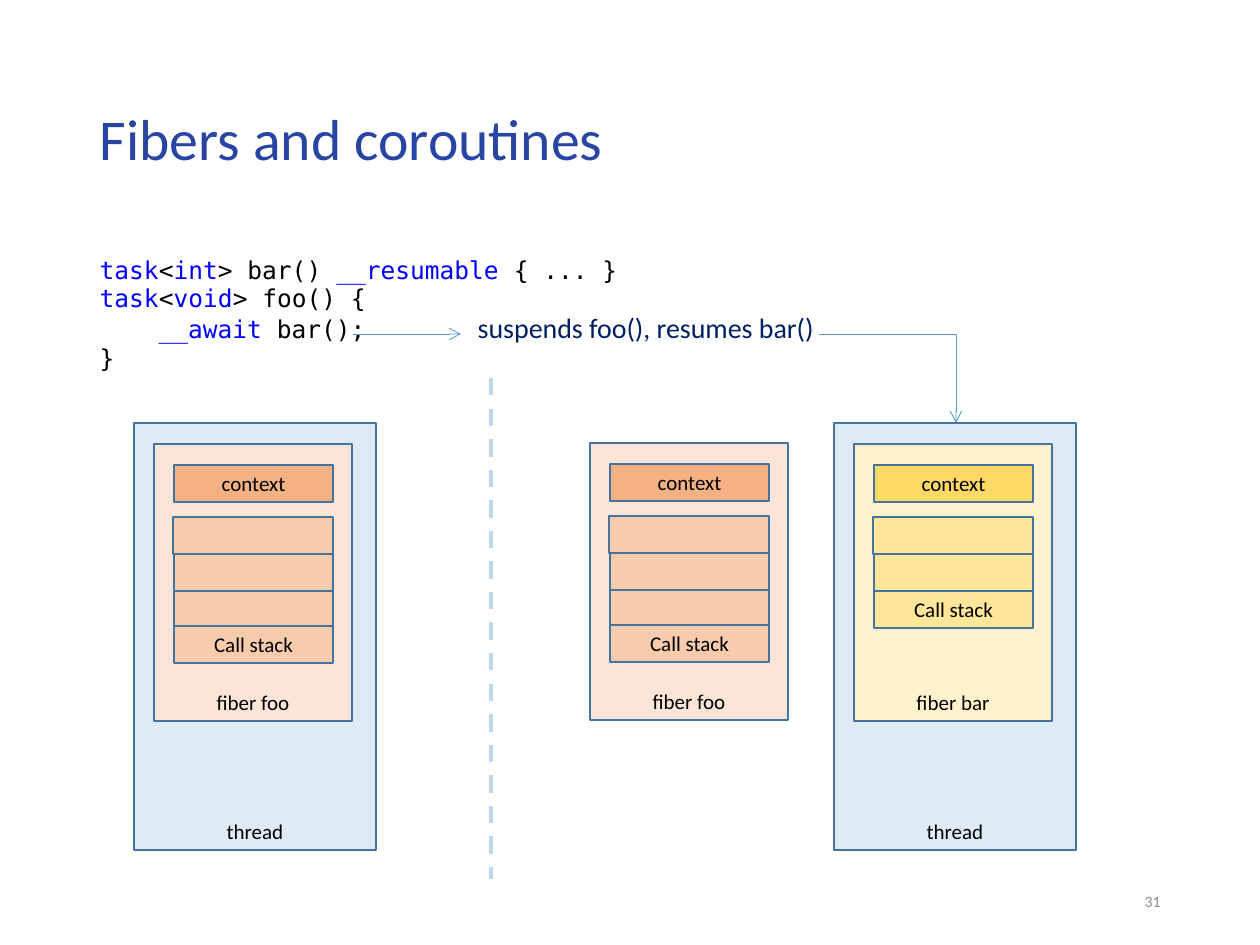
"""Build a slide that compares fibers and coroutines on threads."""
from lxml import etree
from pptx import Presentation
from pptx.dml.color import RGBColor
from pptx.enum.dml import MSO_LINE
from pptx.enum.shapes import MSO_CONNECTOR, MSO_SHAPE
from pptx.enum.text import MSO_ANCHOR, MSO_AUTO_SIZE, PP_ALIGN
from pptx.oxml.ns import qn
from pptx.util import Pt

PX = 914400 / 126
RECTANGLE = MSO_SHAPE.RECTANGLE
STRAIGHT, ELBOW = MSO_CONNECTOR.STRAIGHT, MSO_CONNECTOR.ELBOW
DASH = MSO_LINE.DASH
TOP, MIDDLE, BOTTOM = MSO_ANCHOR.TOP, MSO_ANCHOR.MIDDLE, MSO_ANCHOR.BOTTOM
LEFT, CENTER, RIGHT = PP_ALIGN.LEFT, PP_ALIGN.CENTER, PP_ALIGN.RIGHT
NO_AUTOFIT = MSO_AUTO_SIZE.NONE

SANS, MONO = "Calibri", "DejaVu Sans Mono"
TITLE_BLUE = RGBColor(0x29, 0x45, 0xA4)
KEYWORD = RGBColor(0x00, 0x00, 0xFF)
BLACK = RGBColor(0x00, 0x00, 0x00)
NAVY = RGBColor(0x00, 0x20, 0x60)
GRAY = RGBColor(0x8C, 0x8C, 0x8C)
OUTLINE = RGBColor(0x43, 0x73, 0x9E)
ARROW = RGBColor(0x5B, 0x9B, 0xD5)
DIVIDER = RGBColor(0xBD, 0xD7, 0xEE)
THREAD = RGBColor(0xDE, 0xEB, 0xF7)
FOO = (RGBColor(0xFB, 0xE5, 0xD6), RGBColor(0xF4, 0xB1, 0x83), RGBColor(0xF8, 0xCB, 0xAD))
BAR = (RGBColor(0xFF, 0xF2, 0xCC), RGBColor(0xFF, 0xD9, 0x66), RGBColor(0xFF, 0xE6, 0x99))


def px(*lengths):
    return [round(length * PX) for length in lengths]


def add_run(paragraph, text, size, color, font=SANS):
    run = paragraph.add_run()
    run.text = text
    run.font.name = font
    run.font.size = Pt(size)
    run.font.color.rgb = color


deck = Presentation()
deck.slide_width, deck.slide_height = px(1260, 945)
slide = deck.slides.add_slide(deck.slide_layouts[1])
shapes = slide.shapes

title, code = shapes.title, slide.placeholders[1]
for holder, box, anchor in ((title, (87, 50, 1086, 183), MIDDLE), (code, (87, 252, 1086, 600), TOP)):
    holder.left, holder.top, holder.width, holder.height = px(*box)
    holder.text_frame.auto_size = NO_AUTOFIT
    holder.text_frame.vertical_anchor = anchor

heading = title.text_frame.paragraphs[0]
heading.alignment = LEFT
heading.line_spacing = 0.9
add_run(heading, "Fibers and coroutines", 33, TITLE_BLUE)

code_lines = [
    (0, [("task", KEYWORD), ("<", BLACK), ("int", KEYWORD), ("> bar() ", BLACK),
         ("__resumable ", KEYWORD), ("{ ... }", BLACK)]),
    (0, [("task", KEYWORD), ("<", BLACK), ("void", KEYWORD), ("> foo() {", BLACK)]),
    (59, [("__await", KEYWORD), (" bar();\t\t", BLACK)]),
    (0, [("}", BLACK)]),
]
for number, (indent, parts) in enumerate(code_lines):
    line = code.text_frame.add_paragraph() if number else code.text_frame.paragraphs[0]
    line.line_spacing = 0.9
    line.space_before = Pt(1)
    properties = line._p.get_or_add_pPr()
    properties.set("marL", "0")
    properties.set("indent", str(px(indent)[0]))
    etree.SubElement(properties, qn("a:buNone"))
    for text, color in parts:
        add_run(line, text, 14, color, MONO)
    if indent:
        add_run(line, "suspends foo(), resumes bar()", 16, NAVY)

boxes = [(134, 423, 242, 427, THREAD, "thread"), (834, 423, 242, 427, THREAD, "thread")]
fibers = [(154, 444, "fiber foo", FOO, 4), (854, 444, "fiber bar", BAR, 3), (590, 443, "fiber foo", FOO, 4)]
for x, y, name, (fiber_fill, context_fill, stack_fill), depth in fibers:
    boxes.append((x, y, 198, 277, fiber_fill, name))
    boxes.append((x + 20, y + 21, 159, 37, context_fill, "context"))
    for level, drop in enumerate((73, 110, 147, 182)[:depth]):
        overhang = 1 if level == 0 else 0
        label = "Call stack" if level == depth - 1 else ""
        boxes.append((x + 20 - overhang, y + drop, 159 + overhang, 37, stack_fill, label))

for x, y, width, height, fill, label in boxes:
    block = shapes.add_shape(RECTANGLE, *px(x, y, width, height))
    block.shadow.inherit = False
    block.fill.solid()
    block.fill.fore_color.rgb = fill
    block.line.color.rgb = OUTLINE
    block.line.width = Pt(1)
    if label:
        block.text_frame.vertical_anchor = BOTTOM
        caption = block.text_frame.paragraphs[0]
        caption.alignment = CENTER
        add_run(caption, label, 12, BLACK)

connections = [
    (STRAIGHT, (353, 334, 461, 334), ARROW, 0.5),
    (ELBOW, (819, 334, 956, 423), ARROW, 0.5),
    (STRAIGHT, (491, 378, 491, 879), DIVIDER, 2.5),
]
for kind, ends, color, weight in connections:
    link = shapes.add_connector(kind, *px(*ends))
    link.line.color.rgb = color
    link.line.width = Pt(weight)
    drawing = link._element.spPr
    etree.SubElement(drawing, qn("a:effectLst"))
    if kind == ELBOW:
        drawing.find(qn("a:prstGeom")).set("prst", "bentConnector2")
    if color == ARROW:
        etree.SubElement(drawing.find(qn("a:ln")), qn("a:tailEnd"), type="arrow")
    else:
        link.line.dash_style = DASH

page = shapes.add_textbox(*px(890, 876, 283, 50)).text_frame
page.word_wrap = True
page.vertical_anchor = MIDDLE
page.paragraphs[0].alignment = RIGHT
add_run(page.paragraphs[0], "31", 9, GRAY)

deck.save("out.pptx")
